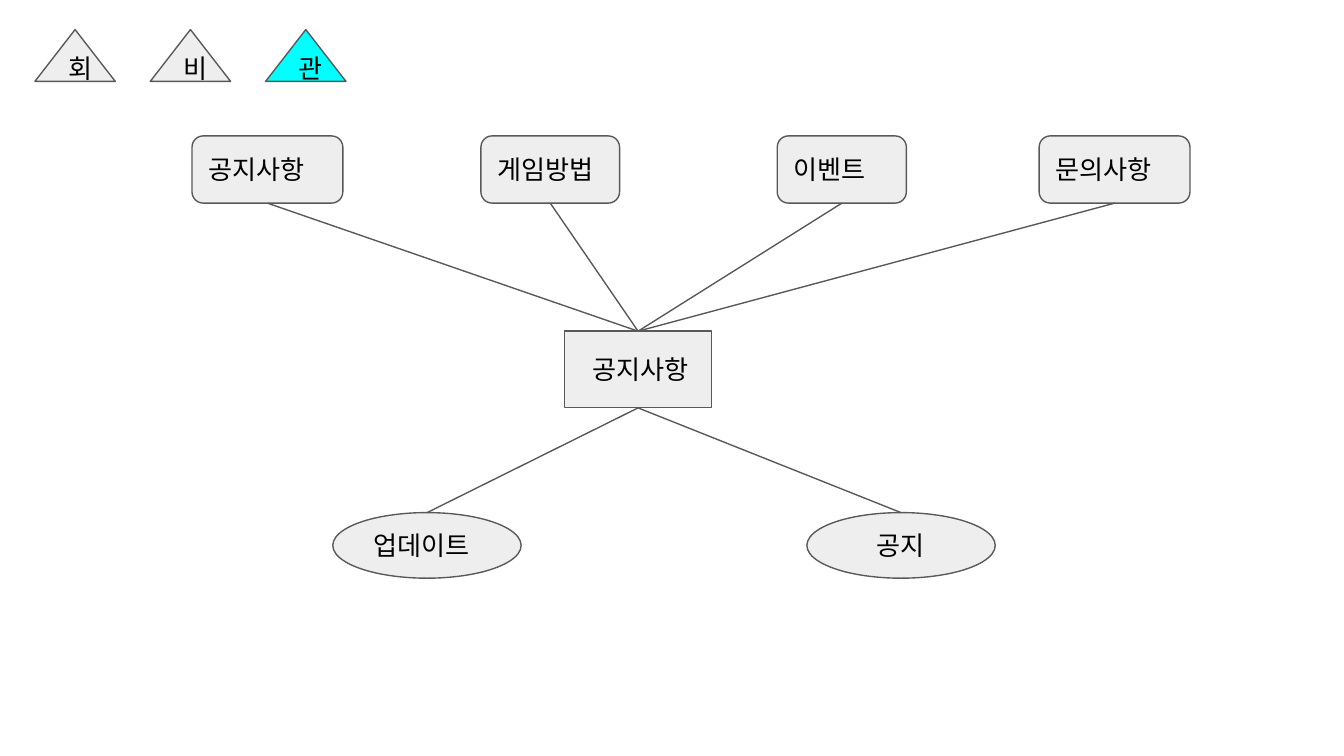
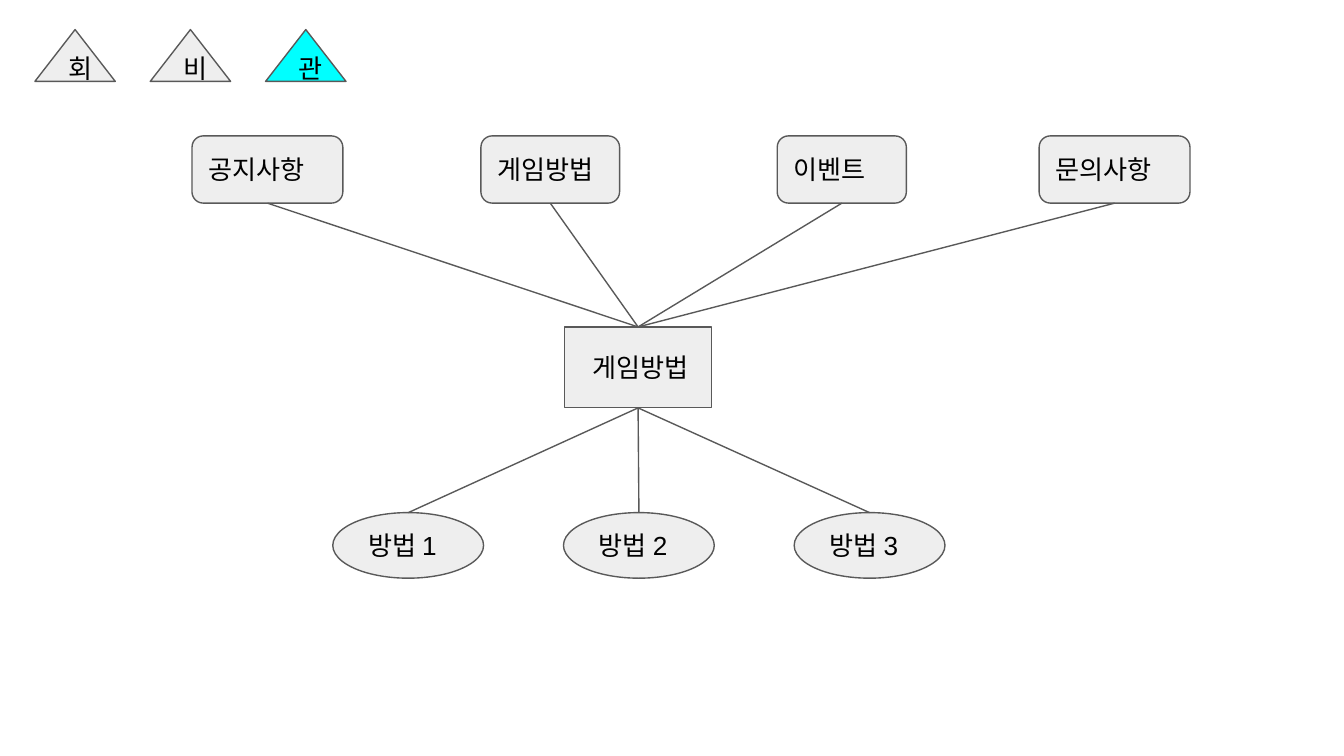
from lxml import etree
from pptx import Presentation
from pptx import util as u
from pptx.dml.color import RGBColor
from pptx.enum import shapes, text
from pptx.oxml.ns import qn

COLORS = {"fill": "EEEEEE", "active": "00FFFF", "line": "595959", "text": "000000"}
FONT = {"name": "Arial", "size": u.Pt(14)}
LINE_WIDTH = u.Pt(0.75)
INSET = 0.25
TOP, BOTTOM = 0, 2  # connection sites

ROLES = ["회", "비", "관"]
ACTIVE_ROLE = "관"
MENU = [  # label, left, width in cm
    ("공지사항", 3.63, 2.85),
    ("게임방법", 9.09, 2.62),
    ("이벤트", 14.69, 2.44),
    ("문의사항", 19.64, 2.85),
]
PAGE_CENTER, PAGE_WIDTH, PAGE_BOTTOM = 12.06, 2.78, 7.71
CHILD_LEFT, CHILD_TOP, CHILD_HEIGHT = 6.29, 9.69, 1.24

# Children are (label, text indent in cm)
PAGES = [
    {"title": "공지사항", "height": 1.45, "child_width": 3.56, "pitch": 8.96,
     "children": [("업데이트", 0), ("공지", 0.54)]},
    {"title": "게임방법", "height": 1.53, "child_width": 2.85, "pitch": 4.36,
     "children": [("방법 1", 0), ("방법 2", 0), ("방법 3", 0)]},
]


def rgb(name):
    return RGBColor.from_string(COLORS[name])


class Sitemap:
    """Holds the presentation, its style and the current slide."""

    def __init__(self):
        self.prs = Presentation()
        self.prs.slide_width = u.Cm(25.4)
        self.prs.slide_height = u.Cm(14.29)
        self.s = None

    def new_slide(self):
        self.s = self.prs.slides.add_slide(self.prs.slide_layouts[6])

    def node(self, kind, label, box, fill="fill", indent=0):
        """Add a labelled shape; box is left, top, width, height in cm."""
        sp = self.s.shapes.add_shape(kind, *map(u.Cm, box))
        sp.shadow.inherit = False
        sp.fill.solid()
        sp.fill.fore_color.rgb = rgb(fill)
        self.stroke(sp)

        tf = sp.text_frame
        frame = {
            "word_wrap": True,
            "vertical_anchor": text.MSO_ANCHOR.MIDDLE,
            "margin_left": u.Cm(INSET + indent),
            "margin_right": u.Cm(INSET),
            "margin_top": u.Cm(INSET),
            "margin_bottom": u.Cm(INSET),
        }
        for key, value in frame.items():
            setattr(tf, key, value)
        p = tf.paragraphs[0]
        p.alignment = text.PP_ALIGN.LEFT
        r = p.add_run()
        r.text = label
        for key, value in FONT.items():
            setattr(r.font, key, value)
        r.font.color.rgb = rgb("text")
        return sp

    def link(self, start, start_site, end, end_site):
        cxn = self.s.shapes.add_connector(shapes.MSO_CONNECTOR.STRAIGHT, 0, 0, 0, 0)
        cxn.begin_connect(start, start_site)
        cxn.end_connect(end, end_site)
        self.stroke(cxn)
        etree.SubElement(cxn._element.spPr, qn("a:effectLst"))

    def stroke(self, shape):
        shape.line.color.rgb = rgb("line")
        shape.line.width = LINE_WIDTH

    def roles(self):
        for i, role in enumerate(ROLES):
            self.node(shapes.MSO_SHAPE.ISOSCELES_TRIANGLE, role,
                      (0.66 + i * 2.18, 0.56, 1.52, 0.98),
                      fill="active" if role == ACTIVE_ROLE else "fill")

    def menu(self):
        return [self.node(shapes.MSO_SHAPE.ROUNDED_RECTANGLE, label,
                          (left, 2.57, width, 1.27))
                for label, left, width in MENU]

    def page(self, title, height, child_width, pitch, children):
        """Draw one page: the shared menu, its box and the children below."""
        self.new_slide()
        self.roles()
        box = self.node(shapes.MSO_SHAPE.RECTANGLE, title,
                        (PAGE_CENTER - PAGE_WIDTH / 2, PAGE_BOTTOM - height,
                         PAGE_WIDTH, height), indent=0.27)
        for item in self.menu():
            self.link(item, BOTTOM, box, TOP)
        for i, (label, indent) in enumerate(children):
            child = self.node(shapes.MSO_SHAPE.OVAL, label,
                              (CHILD_LEFT + i * pitch, CHILD_TOP,
                               child_width, CHILD_HEIGHT), indent=indent)
            self.link(child, TOP, box, BOTTOM)


def main():
    sitemap = Sitemap()
    for page in PAGES:
        sitemap.page(**page)
    sitemap.prs.save("out.pptx")


if __name__ == "__main__":
    main()
